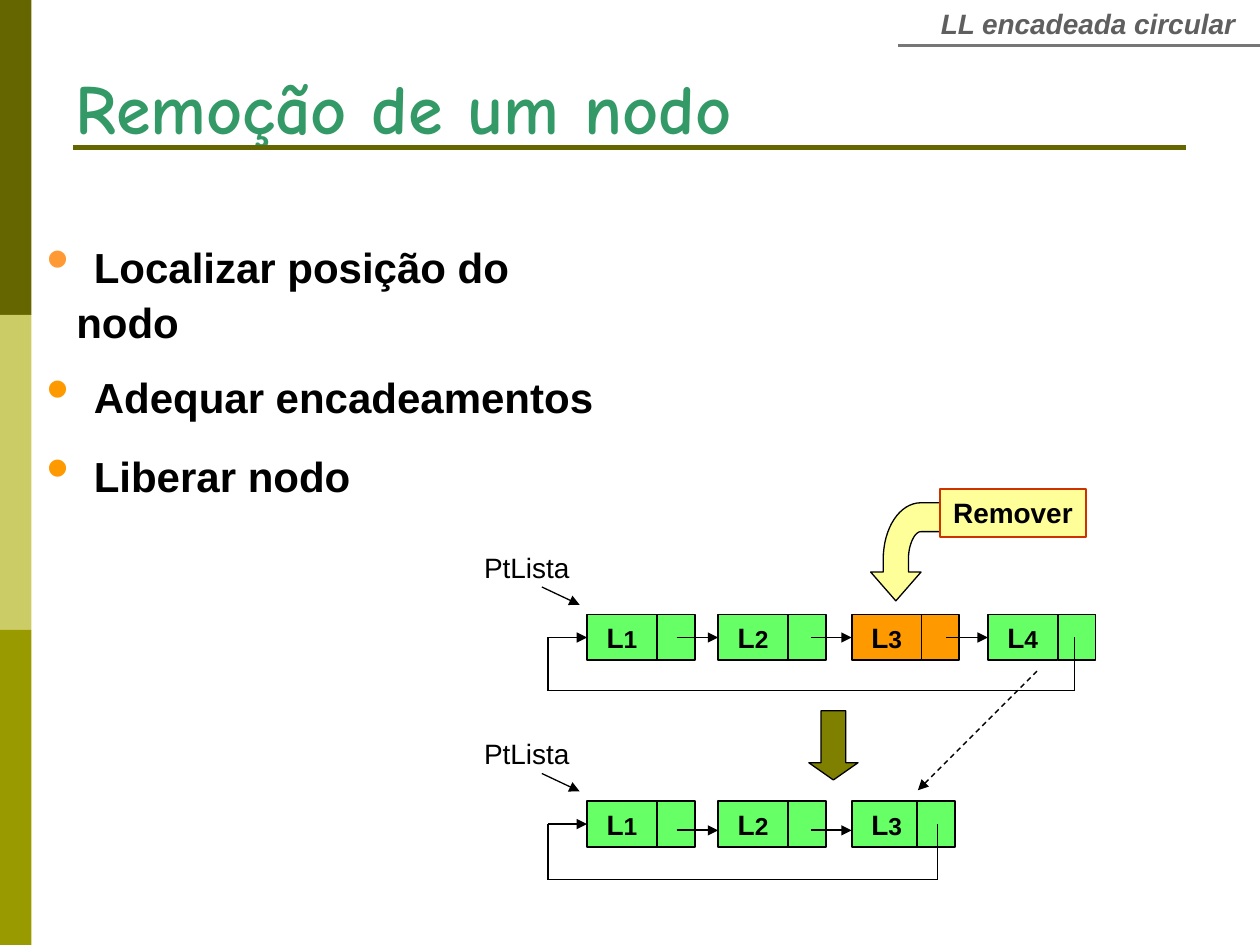
from lxml import etree
from pptx import Presentation
from pptx.dml.color import RGBColor
from pptx.enum.dml import MSO_LINE
from pptx.enum.shapes import MSO_CONNECTOR, MSO_SHAPE
from pptx.enum.text import MSO_ANCHOR, MSO_AUTO_SIZE, PP_ALIGN
from pptx.oxml.ns import qn
from pptx.util import Pt

BLACK = RGBColor(0x00, 0x00, 0x00)
WHITE = RGBColor(0xFF, 0xFF, 0xFF)
GREEN = RGBColor(0x66, 0xFF, 0x66)
ORANGE = RGBColor(0xFF, 0x99, 0x00)
LIGHT_ORANGE = RGBColor(0xFF, 0x99, 0x33)
YELLOW = RGBColor(0xFF, 0xFF, 0x99)
RED = RGBColor(0xCC, 0x33, 0x00)
TEAL = RGBColor(0x33, 0x99, 0x66)
GRAY = RGBColor(0x5F, 0x5F, 0x5F)
RULE_GRAY = RGBColor(0x77, 0x77, 0x77)
DARK_OLIVE = RGBColor(0x66, 0x66, 0x00)
PALE_OLIVE = RGBColor(0xCC, 0xCC, 0x66)
OLIVE = RGBColor(0x99, 0x99, 0x00)
ARROW_OLIVE = RGBColor(0x80, 0x80, 0x00)

prs = Presentation()
prs.slide_width, prs.slide_height = Pt(720), Pt(540)
s = prs.slides.add_slide(prs.slide_layouts[1])


def add_text(p, runs, **common):
    """Add (text, size) or (text, size, colour) runs to a paragraph."""
    for text, size, *color in runs:
        r = p.add_run()
        r.text = text
        r.font.color.rgb = color[0] if color else BLACK
        for name, value in {"name": "Arial", "size": Pt(size), **common}.items():
            setattr(r.font, name, value)


def add_line(x1, y1, x2, y2, width=0.75, color=BLACK, head=False, dash=None):
    c = s.shapes.add_connector(MSO_CONNECTOR.STRAIGHT, Pt(x1), Pt(y1), Pt(x2), Pt(y2))
    c.line.color.rgb = color
    c.line.width = Pt(width)
    if dash:
        c.line.dash_style = dash
    if head:
        etree.SubElement(c.line._ln, qn("a:tailEnd"), type="triangle")
    etree.SubElement(c._element.spPr, qn("a:effectLst"))
    return c


# Side bands and rules
for i, color in enumerate((DARK_OLIVE, PALE_OLIVE, OLIVE)):
    band = s.shapes.add_shape(MSO_SHAPE.RECTANGLE, 0, Pt(180 * i), Pt(18), Pt(180))
    band.shadow.inherit = False
    band.fill.solid()
    band.fill.fore_color.rgb = color
    band.line.fill.background()
add_line(42, 84.2, 678, 84.2, 3, DARK_OLIVE)
add_line(513.4, 26, 720, 26, 2.25, RULE_GRAY)

# Title and bulleted steps
title, body = s.placeholders
for ph, left, top, width, height, wrap, anchor in (
        (title, 36, 33.1, 414.7, 55.4, False, MSO_ANCHOR.TOP),
        (body, 19.4, 139, 339.1, 136.8, True, MSO_ANCHOR.MIDDLE)):
    ph.left, ph.top, ph.width, ph.height = Pt(left), Pt(top), Pt(width), Pt(height)
    tf = ph.text_frame
    tf.word_wrap, tf.vertical_anchor, tf.auto_size = wrap, anchor, MSO_AUTO_SIZE.NONE
p = title.text_frame.paragraphs[0]
p.alignment = PP_ALIGN.LEFT
add_text(p, [("Remoção de um nodo", 40, TEAL)], name="Comic Neue", bold=True)

body.fill.solid()
body.fill.fore_color.rgb = WHITE
steps = (("Localizar posição do nodo", LIGHT_ORANGE),
         ("Adequar encadeamentos", ORANGE), ("Liberar nodo", ORANGE))
for i, (text, color) in enumerate(steps):
    tf = body.text_frame
    p = tf.add_paragraph() if i else tf.paragraphs[0]
    pPr = p._p.get_or_add_pPr()
    pPr.set("marL", str(Pt(17)))
    pPr.set("indent", str(-Pt(17)))
    bu_color = etree.SubElement(pPr, qn("a:buClr"))
    etree.SubElement(bu_color, qn("a:srgbClr"), val=str(color))
    etree.SubElement(pPr, qn("a:buFont"), typeface="Arial")
    etree.SubElement(pPr, qn("a:buChar"), char="•")
    p.space_before = Pt(2 if i else 0)
    add_text(p, [(" ", 36, color), (text, 24)], bold=True)

# Header and list pointer labels
for text, left, top, width, color, look in (
        ("LL encadeada circular", 529.9, 0, 183.6, GRAY, {"bold": True, "italic": True}),
        ("PtLista", 269.3, 311, 63.4, BLACK, {}),
        ("PtLista", 269.3, 417.6, 63.4, BLACK, {})):
    tf = s.shapes.add_textbox(Pt(left), Pt(top), Pt(width), Pt(26.6)).text_frame
    tf.word_wrap = False
    p = tf.paragraphs[0]
    p.alignment = PP_ALIGN.CENTER
    add_text(p, [(text, 16, color)], **look)

# Circular lists before and after the removal
NODE_X = (335.5, 410.4, 486.7, 564.5)
NODE_W, LINK_W, NODE_H = 39.9, 21.6, 26.2
LOOP_X = 313.2
for top, count, arrow_y, bottom, loop_end in (
        (351.2, 4, 364.3, 394.6, 614.2), (457.8, 3, 474.5, 502.6, 535.7)):
    nodes = []
    for i, x in enumerate(NODE_X[:count]):
        link_x = 524.2 if (count, i) == (3, 2) else x + NODE_W
        for left, width in ((x, NODE_W), (link_x, LINK_W)):
            sp = s.shapes.add_shape(MSO_SHAPE.RECTANGLE, Pt(left), Pt(top),
                                    Pt(width), Pt(NODE_H))
            sp.shadow.inherit = False
            sp.fill.solid()
            sp.fill.fore_color.rgb = ORANGE if (count, i) == (4, 2) else GREEN
            sp.line.color.rgb = BLACK
            sp.line.width = Pt(1)
            if left == x:
                nodes.append(sp)
                sp.text_frame.word_wrap = False
                p = sp.text_frame.paragraphs[0]
                p.alignment = PP_ALIGN.CENTER
                add_text(p, [("L", 16), (str(i + 1), 14)], bold=True)
    middle = top + NODE_H / 2
    for start, x, node in zip((386.6, 463.7, 540.7), NODE_X[1:], nodes[1:]):
        arrow = add_line(start, arrow_y, x, arrow_y, 1, head=True)
        if count == 4:
            arrow.end_connect(node, 1)
    # Link from the last node back to the first
    for x in (loop_end, LOOP_X):
        add_line(x, middle, x, bottom)
    add_line(LOOP_X, bottom, loop_end, bottom)
    add_line(LOOP_X, middle, NODE_X[0], middle, 1, head=True).end_connect(nodes[0], 1)
    add_line(309.6, top - 15.8, 331.2, top - 5.6, head=True)

add_line(571, 331.9, 571, 331.9, head=True)
add_line(592.6, 383.5, 524.5, 451.6, head=True, dash=MSO_LINE.DASH)

# Curved arrow to the removed node
points = [(511.9, 343.4), (497.5, 326.9), (504.7, 326.9)]
curves = (((504.7, 319.7), (504.7, 301.7), (514.1, 287.3), (526.3, 287.3)),
          ((526.3, 303.8), (522.7, 303.8), (519.1, 311), (519.1, 319.7)))
for curve, after in zip(curves, ([(548.6, 287.3), (548.6, 303.8)],
                                 [(519.1, 326.9), (526.3, 326.9)])):
    for t in (n / 16 for n in range(17)):
        weights = ((1 - t) ** 3, 3 * t * (1 - t) ** 2, 3 * t * t * (1 - t), t ** 3)
        points.append(tuple(sum(w * c[k] for w, c in zip(weights, curve)) for k in (0, 1)))
    points += after
points = [(Pt(x), Pt(y)) for x, y in points]
fb = s.shapes.build_freeform(*points[0])
fb.add_line_segments(points[1:], close=True)
curved = fb.convert_to_shape()

# Down arrow between the lists and the removal label
down = s.shapes.add_shape(MSO_SHAPE.DOWN_ARROW, Pt(462.2), Pt(406.1), Pt(28.1), Pt(39.6))
down.adjustments[1] = 0.35
label = s.shapes.add_shape(MSO_SHAPE.RECTANGLE, Pt(537.1), Pt(279.4), Pt(83.5), Pt(27.4))
for sp, fill, line in ((curved, YELLOW, BLACK), (down, ARROW_OLIVE, BLACK),
                       (label, YELLOW, RED)):
    sp.shadow.inherit = False
    sp.fill.solid()
    sp.fill.fore_color.rgb = fill
    sp.line.color.rgb = line
    sp.line.width = Pt(0.75)
tf = label.text_frame
tf.word_wrap, tf.vertical_anchor = False, MSO_ANCHOR.TOP
p = tf.paragraphs[0]
p.alignment = PP_ALIGN.CENTER
add_text(p, [("Remover", 16)], bold=True)

prs.save("out.pptx")
